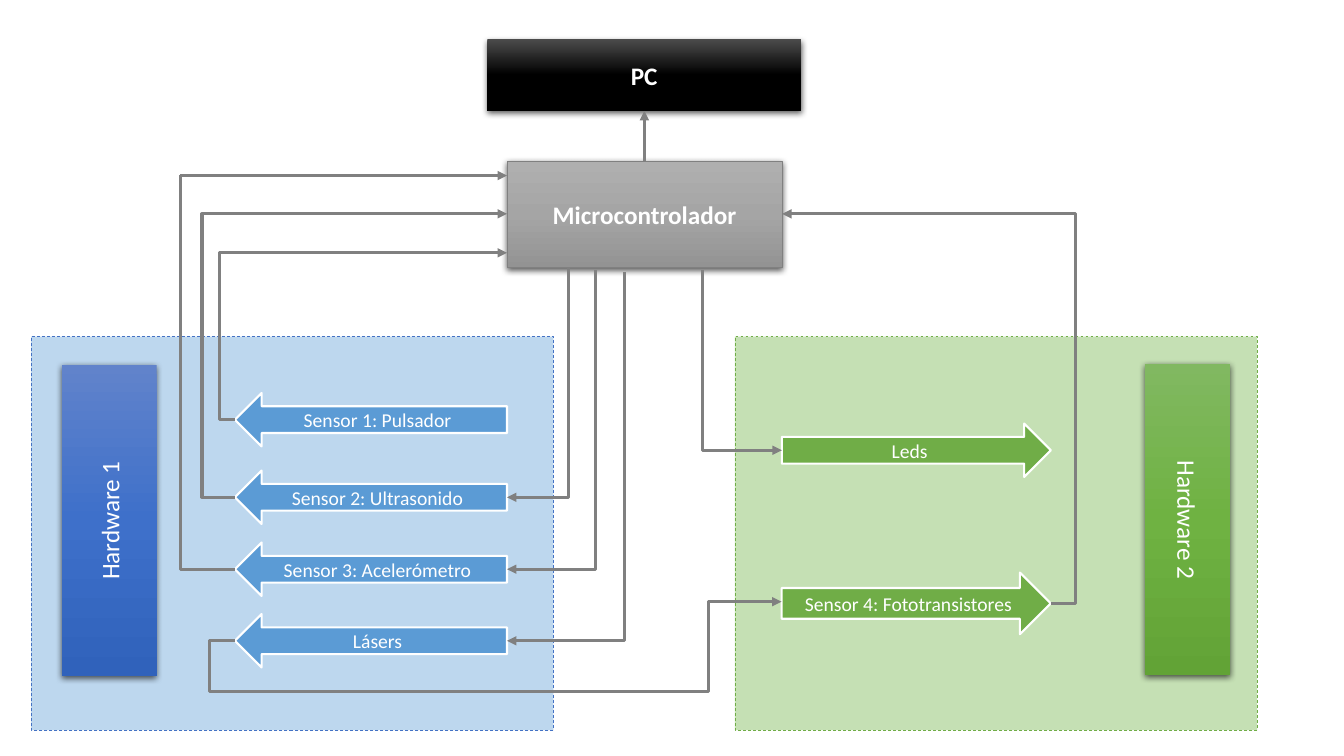
from lxml.etree import SubElement
from copy import deepcopy
from pptx import Presentation
from pptx.dml.color import RGBColor
from pptx.enum.dml import MSO_LINE as Dash
from pptx.enum.shapes import MSO_CONNECTOR as Wire, MSO_SHAPE as Preset
from pptx.enum.text import MSO_ANCHOR as Anchor, PP_ALIGN as Align
from pptx.oxml.ns import qn
from pptx.util import Pt


def rgb(value):
    return RGBColor.from_string(value)


def put(target, values):
    for name, value in values.items():
        setattr(target, name, value)


def add_xml(parent, tag, **attributes):
    return SubElement(parent, qn(tag), attributes)


class Diagram:
    font = "Calibri"
    white = "FFFFFF"
    grey = "808080"

    def __init__(self, slide):
        self.slide = slide

    def shape(self, preset, box, fill=None, line=None, width=0.75, dash=None):
        shape = self.slide.shapes.add_shape(preset, *map(Pt, box))
        shape.shadow.inherit = False
        if fill:
            shape.fill.solid()
            shape.fill.fore_color.rgb = rgb(fill)
        if line:
            shape.line.color.rgb = rgb(line)
            put(shape.line, {"width": Pt(width), "dash_style": dash})
        else:
            shape.line.fill.background()
        return shape

    def label(self, shape, text, size, bold=False):
        put(shape.text_frame, {"word_wrap": True, "vertical_anchor": Anchor.MIDDLE})
        paragraph = shape.text_frame.paragraphs[0]
        paragraph.alignment = Align.CENTER
        run = paragraph.add_run()
        run.text = text
        put(run.font, {"name": self.font, "size": Pt(size), "bold": bold})
        run.font.color.rgb = rgb(self.white)

    def zone(self, box, fill, line):
        self.shape(Preset.RECTANGLE, box, fill, line, 0.5, Dash.DASH)

    def block(self, box, text, shades, line=None, bold=False, vert="horz"):
        block = self.shape(Preset.RECTANGLE, box, line=line)
        block.fill.gradient()
        block.fill.gradient_angle = 270
        stop_list = block.element.xpath(".//a:gsLst")[0]
        stop_list.append(deepcopy(stop_list[0]))
        for stop, shade, position in zip(block.fill.gradient_stops, shades, (0, 0.5, 1)):
            stop.color.rgb = rgb(shade)
            stop.position = position
        effects = block.element.xpath("./p:spPr/a:effectLst")[0]
        shadow = add_xml(effects, "a:outerShdw", blurRad=str(Pt(4.5)), dist=str(Pt(1.5)),
                         dir="5400000", algn="ctr", rotWithShape="0")
        add_xml(add_xml(shadow, "a:srgbClr", val="000000"), "a:alpha", val="63000")
        self.label(block, text, 18, bold)
        block.element.xpath(".//a:bodyPr")[0].set("vert", vert)

    def arrow(self, box, text, fill, to_left=False):
        arrow = self.shape(Preset.RIGHT_ARROW, box, fill, self.white, 1.5)
        if to_left:
            arrow.element.xpath(".//a:xfrm")[0].set("flipH", "1")
        self.label(arrow, text, 14)

    def wire(self, start, end, lane=None, head=True):
        kind = Wire.STRAIGHT if lane is None else Wire.ELBOW
        wire = self.slide.shapes.add_connector(kind, *map(Pt, start + end))
        wire.line.color.rgb = rgb(self.grey)
        wire.line.width = Pt(2.25)
        if lane is not None:
            bend = round((lane - start[0]) / (end[0] - start[0]) * 100000)
            guides = wire.element.xpath(".//a:avLst")[0]
            add_xml(guides, "a:gd", name="adj1", fmla=f"val {bend}")
        if head:
            add_xml(wire.element.xpath(".//a:ln")[0], "a:tailEnd", type="triangle")
        add_xml(wire.element.xpath("./p:spPr")[0], "a:effectLst")


deck = Presentation()
put(deck, {"slide_width": Pt(960), "slide_height": Pt(540)})
diagram = Diagram(deck.slides.add_slide(deck.slide_layouts[6]))

diagram.zone((525, 240.5, 373, 281), "C5E0B4", "70AD47")
diagram.zone((22.3, 240.5, 373, 281), "BDD7EE", "4472C4")

diagram.block((44.2, 260.6, 67.7, 222.5), "Hardware 1",
              ("6183CB", "3E70CA", "3062BB"), vert="vert270")
diagram.block((362.2, 115.2, 196.5, 76.2), "Microcontrolador",
              ("AFAFAF", "A5A5A5", "939393"), line="808080", bold=True)
diagram.block((348.2, 28.1, 224, 51.1), "PC", ("4B4B4B", "000000", "000000"), bold=True)
diagram.block((818, 260, 60.5, 222.5), "Hardware 2",
              ("81B861", "6FB242", "62A336"), vert="vert")

left, right, arrow_height = 167.8, 362.2, 38.2
sensors = {
    "Sensor 1: Pulsador": 299.8,
    "Sensor 2: Ultrasonido": 355.2,
    "Sensor 3: Acelerómetro": 406.6,
    "Lásers": 457.7,
}
for text, middle in sensors.items():
    box = (left, middle - arrow_height / 2, right - left, arrow_height)
    diagram.arrow(box, text, "5B9BD5", to_left=True)
diagram.arrow((558.3, 409, 192.2, 44), "Sensor 4: Fototransistores", "70AD47")
diagram.arrow((558.5, 302.5, 192.2, arrow_height), "Leds", "70AD47")

button, ultrasound, accelerometer, lasers = sensors.values()
leds_in, photo_in, photo_out = (558.5, 321.6), (558.3, 429.8), (750.4, 431)
accelerometer_turn, laser_turn = (128.9, 125.4), (491, 494)

diagram.wire(photo_out, (558.7, 152.8), 768.2)
for middle, entry, lane in ((button, 180.6, 156.5), (ultrasound, 152.8, 144.2)):
    diagram.wire((left, middle), (right, entry), lane)
diagram.wire((left, accelerometer), accelerometer_turn, accelerometer_turn[0], head=False)
diagram.wire(accelerometer_turn, (right, accelerometer_turn[1]))

outputs = (
    ((406, 191), (right, ultrasound)),
    ((425.3, 193), (right, accelerometer)),
    ((446.2, 194.4), (right, lasers)),
    ((501.7, 193), leds_in),
)
for start, end in outputs:
    diagram.wire(start, end, start[0])

diagram.wire((left, lasers), laser_turn, 149.6, head=False)
diagram.wire(laser_turn, photo_in, 506)
diagram.wire((460.3, 115.2), (460.3, 79.2))

deck.save("out.pptx")
